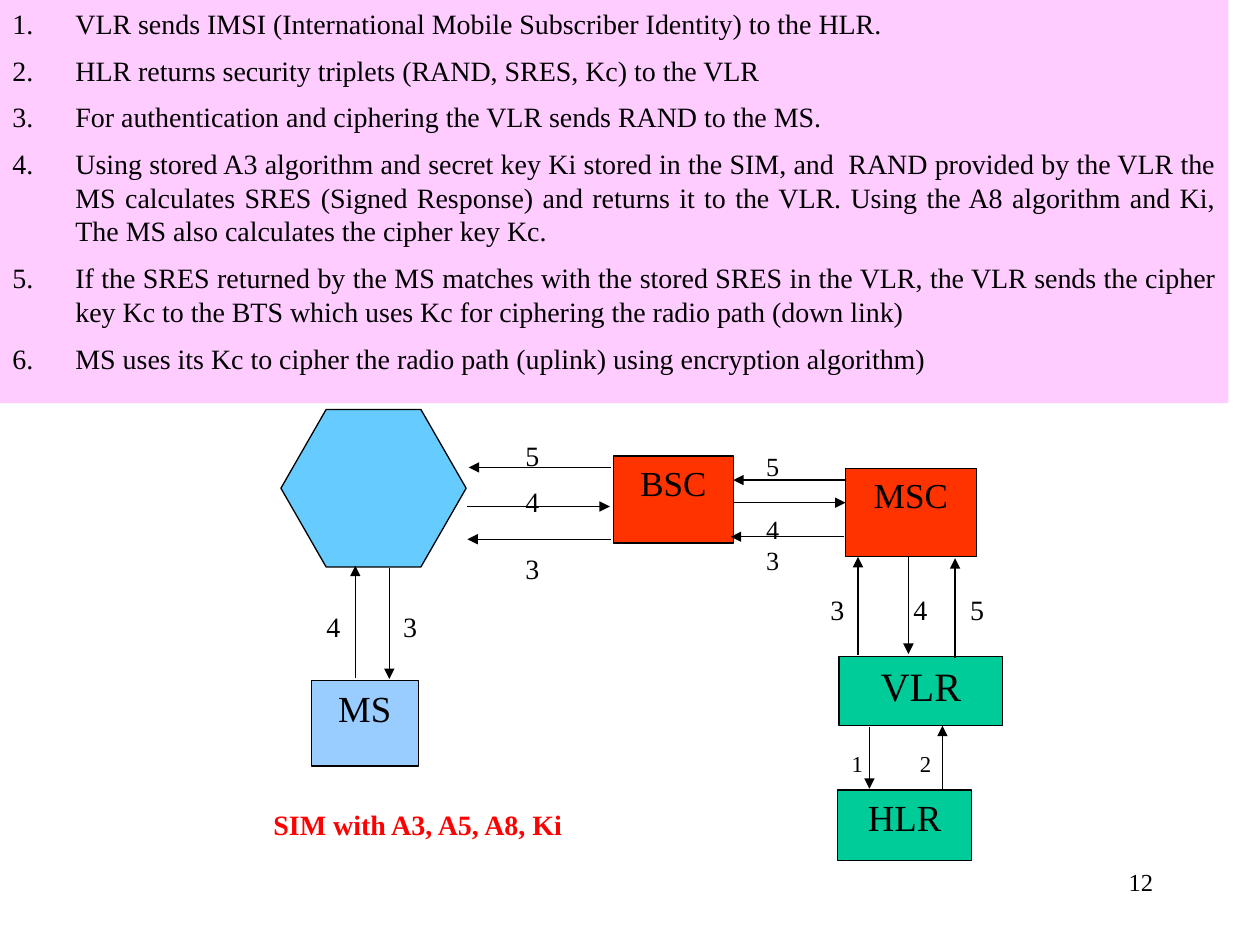
from lxml.etree import SubElement as Sub
from pptx import Presentation
from pptx.dml.color import RGBColor
from pptx.enum.shapes import MSO_CONNECTOR as Conn, MSO_SHAPE as Shape
from pptx.enum.text import MSO_ANCHOR as Anchor, PP_ALIGN as Align
from pptx.oxml.ns import qn
from pptx.util import Inches, Pt

COLS, ROWS = 100, 75  # square grid cells of a tenth of an inch


def color(hex_text):
    return RGBColor.from_string(hex_text)


class Diagram:
    font = "Times New Roman"
    ink = "000000"
    line_width = Pt(0.75)
    inset = (0.08, 0.04)

    def __init__(self, prs):
        self.s = prs.slides.add_slide(prs.slide_layouts[6])
        self.cell_w = prs.slide_width / COLS
        self.cell_h = prs.slide_height / ROWS

    def x(self, cols):
        return round(cols * self.cell_w)

    def y(self, rows):
        return round(rows * self.cell_h)

    def place(self, col, row, width, height):
        return self.x(col), self.y(row), self.x(width), self.y(height)

    def frame(self, sp, inset=None):
        tf = sp.text_frame
        tf.word_wrap = True
        tf.vertical_anchor = Anchor.TOP
        side, edge = inset or self.inset
        tf.margin_left = tf.margin_right = Inches(side)
        tf.margin_top = tf.margin_bottom = Inches(edge)
        return tf

    def add_text(self, p, text, size, align=Align.LEFT, hue=None, bold=False):
        p.alignment = align
        r = p.add_run()
        r.text = text
        r.font.name, r.font.size, r.font.bold = self.font, Pt(size), bold
        r.font.color.rgb = color(hue or self.ink)

    def shape(self, kind, box, fill, outline=True):
        sp = self.s.shapes.add_shape(kind, *self.place(*box))
        sp.shadow.inherit = False
        sp.fill.solid()
        sp.fill.fore_color.rgb = color(fill)
        if outline:
            sp.line.color.rgb = color(self.ink)
            sp.line.width = self.line_width
        else:
            sp.line.fill.background()
        return sp

    def node(self, name, box, fill, size):
        sp = self.shape(Shape.RECTANGLE, box, fill)
        self.add_text(self.frame(sp).paragraphs[0], name, size, Align.CENTER)

    def arrow(self, col1, row1, col2, row2):
        line = self.s.shapes.add_connector(
            Conn.STRAIGHT, self.x(col1), self.y(row1), self.x(col2), self.y(row2))
        line.line.color.rgb = color(self.ink)
        line.line.width = self.line_width
        props = line._element.spPr
        Sub(props.find(qn("a:ln")), qn("a:tailEnd"), type="triangle")
        Sub(props, qn("a:effectLst"))

    def text(self, text, box, size, inset=None, **style):
        sp = self.s.shapes.add_textbox(*self.place(*box))
        p = self.frame(sp, inset).paragraphs[0]
        self.add_text(p, text, size, **style)
        return p

    def row_label(self, steps, box, size, tabs):
        """Step numbers side by side, set on tab stops given in columns."""
        p = self.text("\t".join(steps), box, size)
        stops = Sub(p._p.get_or_add_pPr(), qn("a:tabLst"))
        for tab in tabs:
            Sub(stops, qn("a:tab"), pos=str(self.x(tab)), algn="l")

    def column_label(self, steps, box, size, gaps):
        """Step numbers one under another, with point gaps above each."""
        tf = self.frame(self.s.shapes.add_textbox(*self.place(*box)))
        for i, (step, gap) in enumerate(zip(steps, gaps)):
            p = tf.add_paragraph() if i else tf.paragraphs[0]
            p.space_before = Pt(gap)
            self.add_text(p, step, size)

    def numbered_list(self, items, box, fill, size):
        sp = self.shape(Shape.RECTANGLE, box, fill, outline=False)
        tf = self.frame(sp, (0.1, 0.05))
        for i, item in enumerate(items):
            p = tf.add_paragraph() if i else tf.paragraphs[0]
            p.space_before = Pt(7.6)
            self.add_text(p, item, size, Align.JUSTIFY)
            props = p._p.get_or_add_pPr()
            props.set("marL", str(Inches(0.5)))
            props.set("indent", str(Inches(-0.5)))
            Sub(props, qn("a:buFont"), typeface=self.font)
            Sub(props, qn("a:buAutoNum"), type="arabicPeriod")


STEPS = [
    "VLR sends IMSI (International Mobile Subscriber Identity) to the HLR.",
    "HLR returns security triplets (RAND, SRES, Kc) to the VLR",
    "For authentication and ciphering the VLR sends RAND to the MS.",
    "Using stored A3 algorithm and secret key Ki stored in the SIM, and  RAND "
    "provided by the VLR the MS calculates SRES (Signed Response) and returns it "
    "to the VLR. Using the A8 algorithm and Ki, The MS also calculates the "
    "cipher key Kc.",
    "If the SRES returned by the MS matches with the stored SRES in the VLR, the "
    "VLR sends the cipher key Kc to the BTS which uses Kc for ciphering the radio "
    "path (down link)",
    "MS uses its Kc to cipher the radio path (uplink) using encryption algorithm)",
]

# name, (column, row, width, height), fill, text size
NODES = [
    ("BSC", (48.7, 36.2, 9.5, 6.9), "FF3300", 20),
    ("MSC", (67.1, 37.2, 10.4, 7), "FF3300", 20),
    ("MS", (24.7, 54, 8.5, 6.8), "99CCFF", 21),
    ("VLR", (66.6, 52.1, 13, 5.5), "00CC99", 23),
    ("HLR", (66.5, 62.7, 10.6, 5.6), "00CC99", 21),
]

# start column and row, end column and row
ARROWS = [
    # cell and BSC
    (48.5, 37.1, 37.2, 37.1), (37.1, 40.2, 48.4, 40.2), (48.5, 42.8, 37.1, 42.8),
    # BSC and MSC
    (67.1, 38.1, 58.2, 38.1), (58.2, 39.9, 67.1, 39.9), (67, 42.6, 58, 42.6),
    # MSC and VLR
    (68.1, 52, 68.1, 44.2), (72.1, 44.2, 72.1, 51.9), (75.8, 52.2, 75.8, 44.3),
    # VLR and HLR
    (69, 57.7, 69, 62.6), (74.8, 62.7, 74.8, 57.6),
    # MS and cell
    (28.2, 53.8, 28.2, 44.9), (30.9, 45.1, 30.9, 53.9),
]


def main():
    prs = Presentation()
    prs.slide_width, prs.slide_height = Inches(10), Inches(7.5)
    d = Diagram(prs)

    # Radio cell and network nodes
    cell = d.shape(Shape.HEXAGON, (22.3, 32.5, 14.7, 12.5), "66CCFF")
    cell.adjustments[0] = 0.287
    for node in NODES:
        d.node(*node)
    for ends in ARROWS:
        d.arrow(*ends)

    # Step numbers beside the arrows
    d.column_label("543", (40.9, 34.4, 5.3, 14.8), 16, (0, 7, 19))
    d.column_label("543", (60, 35.3, 5.3, 14.8), 15, (0, 18, 0))
    d.row_label("345", (65.1, 46.6, 14.5, 3.4), 16, (6.6, 11.1))
    d.row_label("12", (66.8, 59.1, 8.4, 3.7), 13, (5.4,))
    d.row_label("43", (25.1, 48, 11.4, 4.4), 16, (6.1,))

    # SIM caption, procedure and page number
    d.text("SIM with A3, A5, A8, Ki", (20.9, 63.7, 27.5, 3.8), 16,
           hue="FF0000", bold=True)
    d.numbered_list(STEPS, (0, 0, 97.5, 32), "FFCCFF", 16)
    d.text("12", (71.7, 68.3, 20.8, 5), 14, (0.1, 0.05), align=Align.RIGHT)

    prs.save("out.pptx")


if __name__ == "__main__":
    main()
